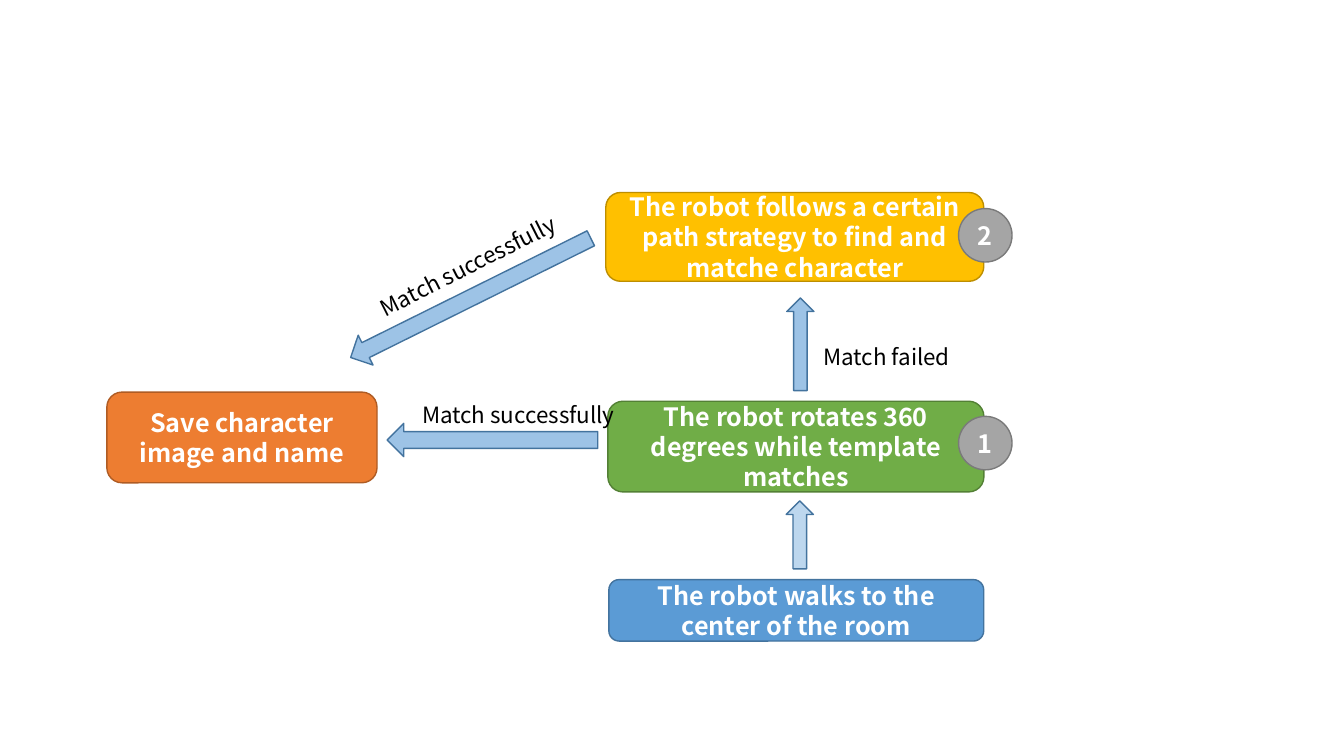
from pptx import Presentation
from pptx.dml.color import RGBColor
from pptx.enum.shapes import MSO_SHAPE as SHAPE
from pptx.enum.text import MSO_ANCHOR as ANCHOR, MSO_AUTO_SIZE as AUTO, PP_ALIGN as ALIGN
from pptx.util import Pt

COLORS = {
    "blue": "5B9BD5", "blue_line": "43739E",
    "green": "70AD47", "green_line": "538035",
    "orange": "ED7D31", "orange_line": "AF5C24",
    "gold": "FFC000", "gold_line": "BD8E00",
    "gray": "A5A5A5", "gray_line": "7A7A7A",
    "arrow": "9DC3E6", "pale_arrow": "BDD7EE",
    "white": "FFFFFF", "black": "000000",
}


class FlowSlide:
    """Draws flow chart elements on one slide, with all lengths in points."""

    font = "Noto Sans CJK SC"
    box_size = 18
    label_size = 16
    label_height = 26.6
    badge_size = 38.2

    def __init__(self, slide):
        self.shapes = slide.shapes

    def color(self, name):
        return RGBColor.from_string(COLORS[name])

    def set_text(self, sp, text, size, color, bold=False):
        tf = sp.text_frame
        tf.word_wrap = True
        tf.text = text
        p = tf.paragraphs[0]
        r = p.runs[0]
        r.font.name = self.font
        r.font.size = Pt(size)
        r.font.bold = bold
        r.font.color.rgb = self.color(color)
        return tf, p

    def shape(self, kind, place, fill, line):
        sp = self.shapes.add_shape(kind, *map(Pt, place))
        sp.shadow.inherit = False
        sp.fill.solid()
        sp.fill.fore_color.rgb = self.color(fill)
        sp.line.color.rgb = self.color(line)
        sp.line.width = Pt(1)
        return sp

    def box(self, text, place, color, kind=SHAPE.ROUNDED_RECTANGLE):
        sp = self.shape(kind, place, color, f"{color}_line")
        tf, p = self.set_text(sp, text, self.box_size, "white", bold=True)
        tf.vertical_anchor = ANCHOR.MIDDLE
        p.alignment = ALIGN.CENTER

    def badge(self, text, left, top):
        place = (left, top, self.badge_size, self.badge_size)
        self.box(text, place, "gray", SHAPE.OVAL)

    def arrow(self, place, rotation=0, kind=SHAPE.LEFT_ARROW, fill="arrow"):
        sp = self.shape(kind, place, fill, "blue_line")
        sp.rotation = rotation

    def label(self, text, left, top, width, rotation=0):
        sp = self.shapes.add_textbox(*map(Pt, (left, top, width, self.label_height)))
        sp.rotation = rotation
        tf, p = self.set_text(sp, text, self.label_size, "black")
        tf.auto_size = AUTO.SHAPE_TO_FIT_TEXT


def main():
    prs = Presentation()
    prs.slide_width, prs.slide_height = Pt(960), Pt(540)
    s = FlowSlide(prs.slides.add_slide(prs.slide_layouts[6]))

    s.box("The robot walks to the center of the room", (434.9, 414, 267.8, 43.9), "blue")
    s.box("The robot rotates 360 degrees while template matches",
          (434.2, 286.6, 268.6, 64.8), "green")
    s.arrow((561.6, 357.8, 19.4, 48.5), 180, SHAPE.DOWN_ARROW, "pale_arrow")

    s.arrow((276.5, 302.4, 150.5, 23.8))
    s.label("Match successfully", 294.5, 283, 165.6)
    s.box("Save character image and name", (76.3, 280.1, 193, 64.8), "orange")

    s.arrow((538.6, 236.2, 66.2, 19.4), 90)
    s.label("Match failed", 581, 241.9, 109.4)
    s.box("The robot follows a certain path strategy to find and matche character",
          (432.7, 137.5, 270, 63.4), "gold")

    s.arrow((240.5, 200.9, 191.5, 23.8), 333.6)
    s.label("Match successfully", 256.3, 168.5, 188.6, 333.3)

    for number, top in (("2", 149), ("1", 297.4)):
        s.badge(number, 684.7, top)

    prs.save("out.pptx")


if __name__ == "__main__":
    main()
